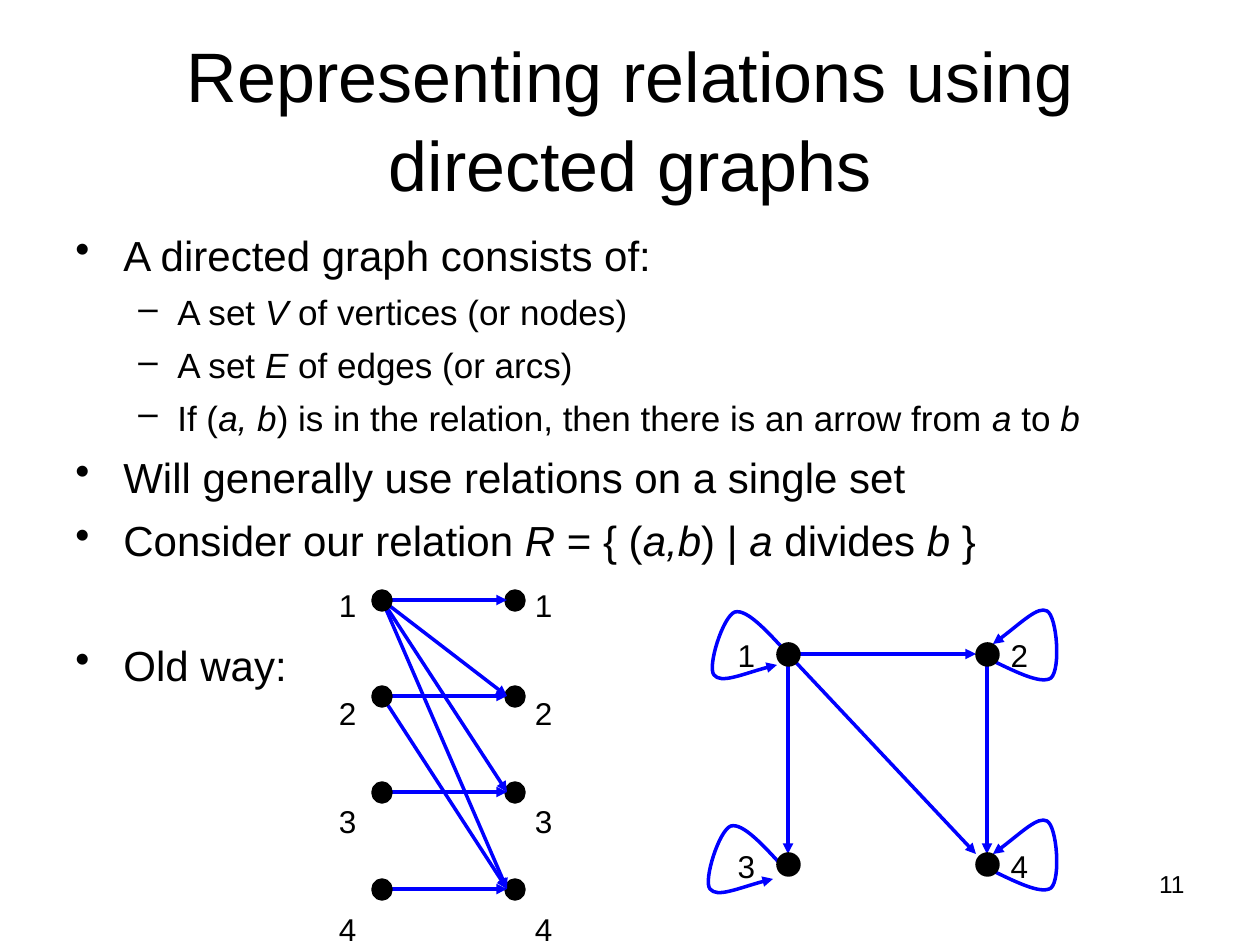
from dataclasses import dataclass

from lxml import etree
from pptx import Presentation
from pptx import util as u
from pptx.dml import color
from pptx.enum import shapes, text
from pptx.oxml import ns

SCALE = 914400 / 126


@dataclass(frozen=True)
class Theme:
    font: str = "Arial"
    ink: color.RGBColor = color.RGBColor(0, 0, 0)
    edge: color.RGBColor = color.RGBColor(0, 0, 255)
    title: int = 40
    body: int = 24
    sub: int = 20
    label: int = 18
    page: int = 14
    line: int = 2
    lead: float = 1.05
    loose: float = 1.47


@dataclass(frozen=True)
class Box:
    left: int
    top: int
    width: int
    height: int


@dataclass(frozen=True)
class Level:
    size: int
    mark: str
    left: int
    hang: int
    gap: int


@dataclass(frozen=True)
class Bullet:
    words: str
    level: Level
    extra: int = 0


@dataclass(frozen=True)
class Edge:
    x1: int
    y1: int
    x2: int
    y2: int


@dataclass(frozen=True)
class Loop:
    points: tuple
    dx: int = 0
    dy: int = 0


THEME = Theme()
MAIN = Level(THEME.body, "•", 48, 48, 6)
SUB = Level(THEME.sub, "–", 102, 39, 5)

BULLETS = (
    Bullet("A directed graph consists of:", MAIN),
    Bullet("A set *V* of vertices (or nodes)", SUB),
    Bullet("A set *E* of edges (or arcs)", SUB),
    Bullet("If (*a, b*) is in the relation, then there is an arrow from *a* to *b*", SUB),
    Bullet("Will generally use relations on a single set", MAIN),
    Bullet("Consider our relation *R* = { (*a,b*) | *a* divides *b* }", MAIN),
    Bullet("Old way:", MAIN, 35),
)

ROWS = [600 + 289 * i // 3 for i in range(4)]
FROM_X, TO_X = 382, 515
PAIRS = [(a, b) for gap in range(4) for a in range(1, 5)
         for b in range(a, 5) if b - a == gap and b % a == 0]

WEST, EAST, NORTH, SOUTH = 788, 987, 654, 864
LEFT_LOOP = ((788, 654), (767, 631), (747, 609), (735, 612), (723, 616),
             (707, 667), (714, 675), (721, 684), (747, 672), (777, 665))
RIGHT_LOOP = ((987, 658), (1014, 671), (1041, 685), (1051, 678), (1061, 669),
              (1057, 616), (1047, 611), (1038, 606), (1018, 626), (993, 644))
LOOPS = (Loop(LEFT_LOOP), Loop(LEFT_LOOP, -4, 214),
         Loop(RIGHT_LOOP), Loop(RIGHT_LOOP, 0, 210))
EDGES = (Edge(WEST, NORTH, 976, NORTH), Edge(WEST, NORTH, 976, 854),
         Edge(EAST, NORTH, EAST, 854), Edge(WEST, NORTH, WEST, 854))


def px(size: int) -> int:
    return round(size * SCALE)


def place(box: Box) -> tuple:
    return px(box.left), px(box.top), px(box.width), px(box.height)


def add_runs(para, words: str, size: int, align, lead: float = THEME.lead) -> None:
    para.alignment = align
    para.line_spacing = lead
    for i, part in enumerate(words.split("*")):
        if part:
            run = para.add_run()
            run.text = part
            run.font.name = THEME.font
            run.font.size = u.Pt(size)
            run.font.italic = bool(i % 2)
            run.font.color.rgb = THEME.ink


def add_box(tree, box: Box, wrap: bool = True):
    frame = tree.add_textbox(*place(box)).text_frame
    frame.word_wrap = wrap
    return frame


def add_list(tree, box: Box, items: tuple) -> None:
    frame = add_box(tree, box)
    for i, item in enumerate(items):
        para = frame.add_paragraph() if i else frame.paragraphs[0]
        level = item.level
        para.space_before = u.Pt(level.gap + item.extra)
        add_runs(para, item.words, level.size, text.PP_ALIGN.JUSTIFY)
        props = para._p.get_or_add_pPr()
        props.set("marL", str(px(level.left)))
        props.set("indent", str(-px(level.hang)))
        etree.SubElement(props, ns.qn("a:buChar")).set("char", level.mark)


def add_labels(tree, box: Box, words: str, gap: int = 0) -> None:
    frame = add_box(tree, box, False)
    for i, word in enumerate(words):
        para = frame.add_paragraph() if i else frame.paragraphs[0]
        para.space_before = u.Pt(gap if i else 0)
        add_runs(para, word, THEME.label, text.PP_ALIGN.CENTER, THEME.loose)


def add_dot(tree, x: int, y: int, width: int, height: int) -> None:
    box = Box(x - width // 2, y - height // 2, width, height)
    dot = tree.add_shape(shapes.MSO_SHAPE.OVAL, *place(box))
    dot.shadow.inherit = False
    dot.fill.solid()
    dot.fill.fore_color.rgb = THEME.ink
    dot.line.color.rgb = THEME.ink
    dot.line.width = u.Pt(THEME.line)


def style_edge(shape) -> None:
    shape.line.color.rgb = THEME.edge
    shape.line.width = u.Pt(THEME.line)
    tail = etree.SubElement(shape.line._get_or_add_ln(), ns.qn("a:tailEnd"))
    tail.set("type", "triangle")


def add_edge(tree, edge: Edge) -> None:
    ends = map(px, (edge.x1, edge.y1, edge.x2, edge.y2))
    line = tree.add_connector(shapes.MSO_CONNECTOR.STRAIGHT, *ends)
    style_edge(line)
    etree.SubElement(line._element.spPr, ns.qn("a:effectLst"))


def add_loop(tree, loop: Loop) -> None:
    first, *rest = [(x + loop.dx, y + loop.dy) for x, y in loop.points]
    pen = tree.build_freeform(*first, scale=SCALE)
    pen.add_line_segments(rest, close=False)
    shape = pen.convert_to_shape()
    shape.shadow.inherit = False
    shape.fill.background()
    style_edge(shape)
    steps = list(shape._element.iter(ns.qn("a:lnTo")))
    for i in range(0, len(steps), 3):
        curve = etree.Element(ns.qn("a:cubicBezTo"))
        steps[i].addprevious(curve)
        for step in steps[i:i + 3]:
            curve.append(step[0])
            step.getparent().remove(step)


def draw_pairs(tree) -> None:
    for left in (522, 326):
        add_labels(tree, Box(left, 562, 43, 383), "1234", 30)
    for y in ROWS:
        add_dot(tree, TO_X, y, 18, 19)
    for a, b in PAIRS:
        add_edge(tree, Edge(FROM_X, ROWS[a - 1], 507, ROWS[b - 1]))
    for y in ROWS:
        add_dot(tree, FROM_X, y, 18, 19)


def draw_graph(tree) -> None:
    spots = [(x, y) for y in (612, 823) for x in (725, 998)]
    for word, (x, y) in zip("1234", spots):
        add_labels(tree, Box(x, y, 43, 66), word)
    for loop in LOOPS:
        add_loop(tree, loop)
    for edge in EDGES:
        add_edge(tree, edge)
    for x in (WEST, EAST):
        for y in (NORTH, SOUTH):
            add_dot(tree, x, y, 21, 21)


def main() -> None:
    deck = Presentation()
    deck.slide_width, deck.slide_height = px(1260), px(945)
    slide = deck.slides.add_slide(deck.slide_layouts[5])
    tree = slide.shapes
    title = tree.title
    title.left, title.top, title.width, title.height = place(Box(63, 38, 1134, 158))
    title.text_frame.vertical_anchor = text.MSO_ANCHOR.MIDDLE
    title.text_frame.auto_size = text.MSO_AUTO_SIZE.NONE
    add_runs(title.text_frame.paragraphs[0],
             "Representing relations using directed graphs",
             THEME.title, text.PP_ALIGN.CENTER)
    page = add_box(tree, Box(903, 861, 294, 66))
    add_runs(page.paragraphs[0], "11", THEME.page, text.PP_ALIGN.RIGHT)
    add_list(tree, Box(63, 221, 1134, 672), BULLETS)
    draw_pairs(tree.add_group_shape().shapes)
    draw_graph(tree.add_group_shape().shapes)
    deck.save("out.pptx")


if __name__ == "__main__":
    main()
